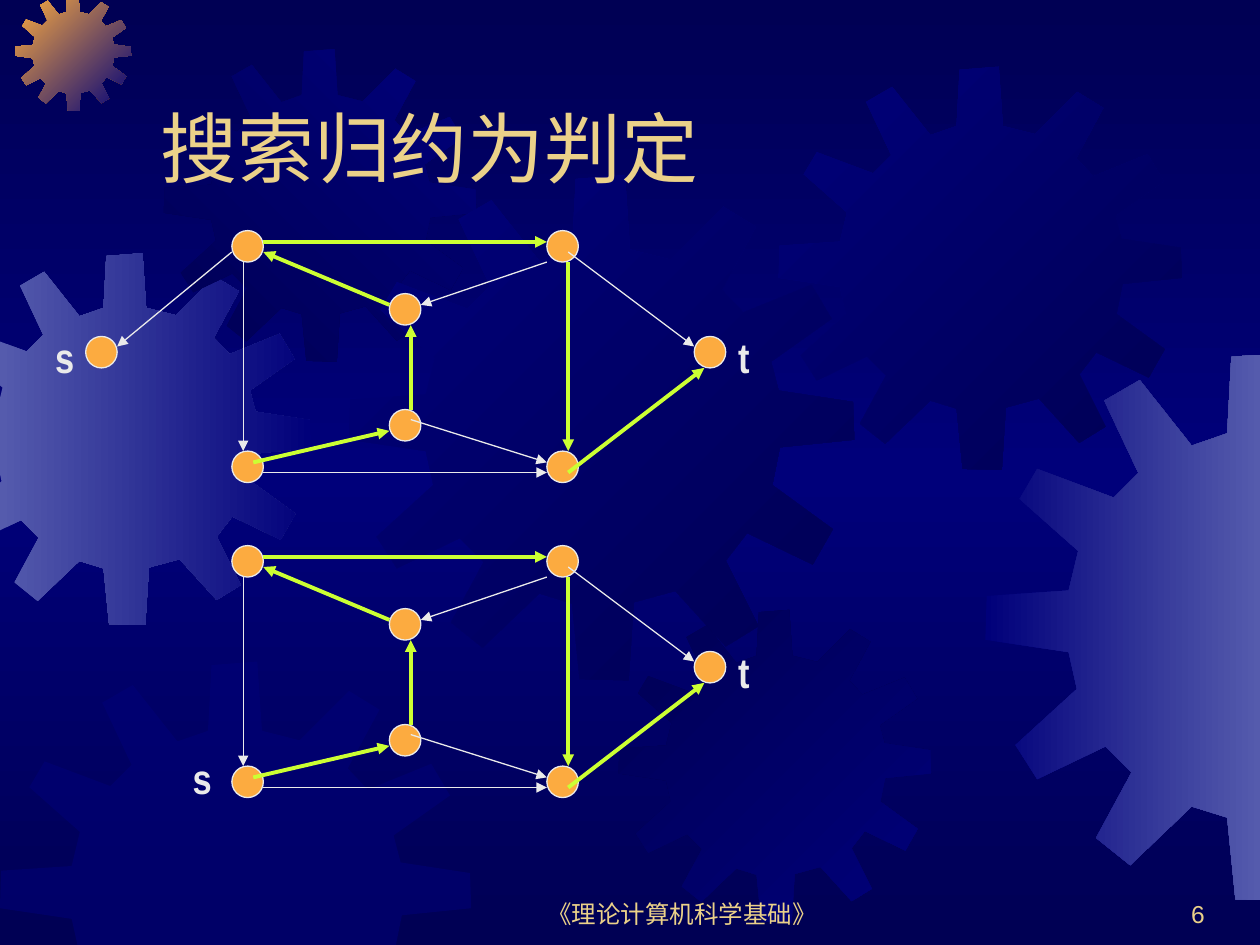
import copy

import pptx
import pptx.dml.color
import pptx.enum.shapes
import pptx.enum.text
import pptx.oxml.ns
import pptx.oxml.xmlchemy
import pptx.util
from pptx.util import Inches

WIDTH, HEIGHT = 10, 7.5
COLORS = {
    "navy": "000054",
    "blue": "00007A",
    "haze": "555BAD",
    "orange": "FCAB40",
    "gold": "EBD189",
    "pale": "EAEAEA",
    "lime": "CCFF33",
}
ALIGN = pptx.enum.text.PP_ALIGN
ANCHOR = pptx.enum.text.MSO_ANCHOR

# One twelve-toothed gear, 4.01 by 4.02 inches; all others are scaled from it
GEAR_LEFT, GEAR_TOP, GEAR_SIZE = 2.77, 1.39, 4.01
GEAR = [
    (5.32, 2.06), (5, 1.98), (4.96, 1.39), (4.57, 1.42), (4.54, 1.98), (4.28, 2.07),
    (3.9, 1.59), (3.64, 1.74), (3.89, 2.27), (3.71, 2.45), (3.15, 2.24), (3.02, 2.46),
    (3.45, 2.84), (3.38, 3.13), (2.78, 3.17), (2.77, 3.49), (3.38, 3.58), (3.44, 3.85),
    (2.99, 4.26), (3.15, 4.51), (3.65, 4.27), (3.84, 4.46), (3.58, 4.94), (3.83, 5.14),
    (4.28, 4.71), (4.54, 4.79), (4.6, 5.39), (4.99, 5.4), (5.03, 4.78), (5.36, 4.69),
    (5.76, 5.13), (6.02, 4.97), (5.76, 4.45), (5.93, 4.23), (6.45, 4.48), (6.61, 4.2),
    (6.13, 3.85), (6.19, 3.55), (6.78, 3.49), (6.77, 3.19), (6.18, 3.1), (6.12, 2.87),
    (6.6, 2.53), (6.44, 2.26), (5.9, 2.48), (5.73, 2.3), (6, 1.8), (5.74, 1.64),
]

# left, top, size, first colour, second colour (None: half-transparent), angle
GEARS = [
    (-0.48, 2.01, 2.95, "haze", "blue", 0),
    (0.12, -0.04, 0.92, "orange", "blue", 315),
    (1.3, 0.39, 2.48, "navy", "blue", 45),
    (2.77, 1.39, 4.01, "blue", "navy", 315),
    (0, 5.25, 3.74, "blue", None, 0),
    (4.91, 4.84, 2.48, "navy", "blue", 315),
    (6.18, 0.53, 3.2, "blue", "navy", 315),
    (7.82, 2.8, 4.35, "blue", "haze", 0),
]

# Graph shared by both diagrams: node corners and arrows
NODE_SIZE = 0.25
NODES = [(1.84, 1.83), (1.84, 3.58), (3.09, 2.33), (3.09, 3.25),
         (4.34, 1.83), (4.34, 3.58), (5.51, 2.67)]
PLAIN_ARROWS = [
    ((1.93, 2.08), (1.93, 3.58)), ((4.51, 2), (5.51, 2.75)),
    ((2.09, 3.75), (4.34, 3.75)), ((3.26, 3.33), (4.34, 3.67)),
    ((4.34, 2.08), (3.34, 2.42)),
]
PATH_ARROWS = [
    ((2.01, 3.67), (3.09, 3.42)), ((3.26, 3.25), (3.26, 2.58)),
    ((3.09, 2.42), (2.09, 2)), ((2.09, 1.92), (4.34, 1.92)),
    ((4.51, 2.08), (4.51, 3.58)), ((4.51, 3.75), (5.59, 2.92)),
]


def rgb(name):
    return pptx.dml.color.RGBColor.from_string(COLORS[name])


def paint_gradient(fill, element, names, angle):
    fill.gradient()
    fill.gradient_angle = angle
    stop_list = next(element.iter(pptx.oxml.ns.qn("a:gsLst")))
    while len(stop_list) < len(names):
        stop_list.append(copy.deepcopy(stop_list[0]))
    for index, (stop, name) in enumerate(zip(fill.gradient_stops, names)):
        stop.position = index / (len(names) - 1)
        stop.color.rgb = rgb(name)


def clip(points, axis, limit, side):
    """Keep the part of an outline where side * coordinate <= side * limit."""
    kept = []
    for start, end in zip(points, points[1:] + points[:1]):
        start_in = side * start[axis] <= side * limit
        end_in = side * end[axis] <= side * limit
        if start_in:
            kept.append(start)
        if start_in != end_in:
            share = (limit - start[axis]) / (end[axis] - start[axis])
            kept.append(tuple(a + share * (b - a) for a, b in zip(start, end)))
    return kept


def add_gear(page, left, top, size, first, second, angle):
    scale = size / GEAR_SIZE
    points = [(left + (x - GEAR_LEFT) * scale, top + (y - GEAR_TOP) * scale)
              for x, y in GEAR]
    for axis, limit in enumerate((WIDTH, HEIGHT)):
        points = clip(clip(points, axis, 0, -1), axis, limit, 1)
    corners = [(Inches(x), Inches(y)) for x, y in points]
    builder = page.shapes.build_freeform(*corners[0], scale=1.0)
    builder.add_line_segments(corners[1:], close=True)
    gear = builder.convert_to_shape()
    gear.shadow.inherit = False
    gear.line.fill.background()
    if second:
        paint_gradient(gear.fill, gear._element, (first, second), angle)
    else:
        gear.fill.solid()
        gear.fill.fore_color.rgb = rgb(first)
        color = next(gear._element.iter(pptx.oxml.ns.qn("a:srgbClr")))
        alpha = pptx.oxml.xmlchemy.OxmlElement("a:alpha")
        alpha.set("val", "50000")
        color.append(alpha)


def set_text(box, text, size, color, font="Arial", bold=False,
             align=ALIGN.LEFT, anchor=ANCHOR.BOTTOM):
    frame = box.text_frame
    frame.word_wrap = True
    frame.auto_size = pptx.enum.text.MSO_AUTO_SIZE.NONE
    frame.vertical_anchor = anchor
    frame.text = text
    para = frame.paragraphs[0]
    para.alignment = align
    span = para.runs[0]
    span.font.size = pptx.util.Pt(size)
    span.font.name = font
    span.font.bold = bold
    span.font.color.rgb = rgb(color)


def add_text(shapes, left, top, width, height, text, size, color, **style):
    box = shapes.add_textbox(Inches(left), Inches(top), Inches(width), Inches(height))
    set_text(box, text, size, color, **style)


def add_node(shapes, left, top):
    node = shapes.add_shape(pptx.enum.shapes.MSO_SHAPE.OVAL, Inches(left), Inches(top),
                            Inches(NODE_SIZE), Inches(NODE_SIZE))
    node.shadow.inherit = False
    node.fill.solid()
    node.fill.fore_color.rgb = rgb("orange")
    node.line.color.rgb = rgb("pale")
    node.line.width = pptx.util.Pt(0.75)


def add_arrow(shapes, start, end, drop, color, width):
    arrow = shapes.add_connector(
        pptx.enum.shapes.MSO_CONNECTOR.STRAIGHT,
        Inches(start[0]), Inches(start[1] + drop), Inches(end[0]), Inches(end[1] + drop))
    arrow.line.color.rgb = rgb(color)
    arrow.line.width = pptx.util.Pt(width)
    head = pptx.oxml.xmlchemy.OxmlElement("a:tailEnd")
    head.set("type", "triangle")
    arrow.line._get_or_add_ln().append(head)
    arrow._element.spPr.append(pptx.oxml.xmlchemy.OxmlElement("a:effectLst"))


def add_graph(page, drop, labels, extra_nodes=(), extra_arrows=()):
    shapes = page.shapes.add_group_shape().shapes
    for left, top in [*extra_nodes, *NODES]:
        add_node(shapes, left, top + drop)
    for start, end in [*extra_arrows, *PLAIN_ARROWS]:
        add_arrow(shapes, start, end, drop, "pale", 0.75)
    for start, end in PATH_ARROWS:
        add_arrow(shapes, start, end, drop, "lime", 2.25)
    for text, left, top in labels:
        add_text(shapes, left, top + drop, 0.5, 0.5, text, 24, "pale",
                 font="Arial Narrow", bold=True, anchor=ANCHOR.TOP)


def main():
    deck = pptx.Presentation()
    deck.slide_width, deck.slide_height = Inches(WIDTH), Inches(HEIGHT)
    page = deck.slides.add_slide(deck.slide_layouts[5])

    # Background and gears
    paint_gradient(page.background.fill, page._element, ("navy", "blue", "navy"), 270)
    for gear in GEARS:
        add_gear(page, *gear)

    # Footer, page number and title, in front of the gears
    add_text(page.shapes, 3.83, 6.92, 3.17, 0.5, "《理论计算机科学基础》", 14, "gold",
             align=ALIGN.CENTER)
    add_text(page.shapes, 7.58, 6.92, 2.08, 0.5, "6", 14, "gold", align=ALIGN.RIGHT)
    title = page.shapes.title
    title.left, title.top = Inches(1.17), Inches(0.33)
    title.width, title.height = Inches(8.5), Inches(1.25)
    set_text(title, "搜索归约为判定", 44, "gold")
    page.shapes._spTree.append(title._element)

    # Graph with a separate source node, then the one starting at the lower left
    add_graph(page, 0, [("s", 0.34, 2.58), ("t", 5.76, 2.58)],
              [(0.68, 2.67)], [((1.84, 2), (0.93, 2.75))])
    add_graph(page, 2.5, [("s", 1.43, 3.42), ("t", 5.76, 2.58)])

    deck.save("out.pptx")


if __name__ == "__main__":
    main()
